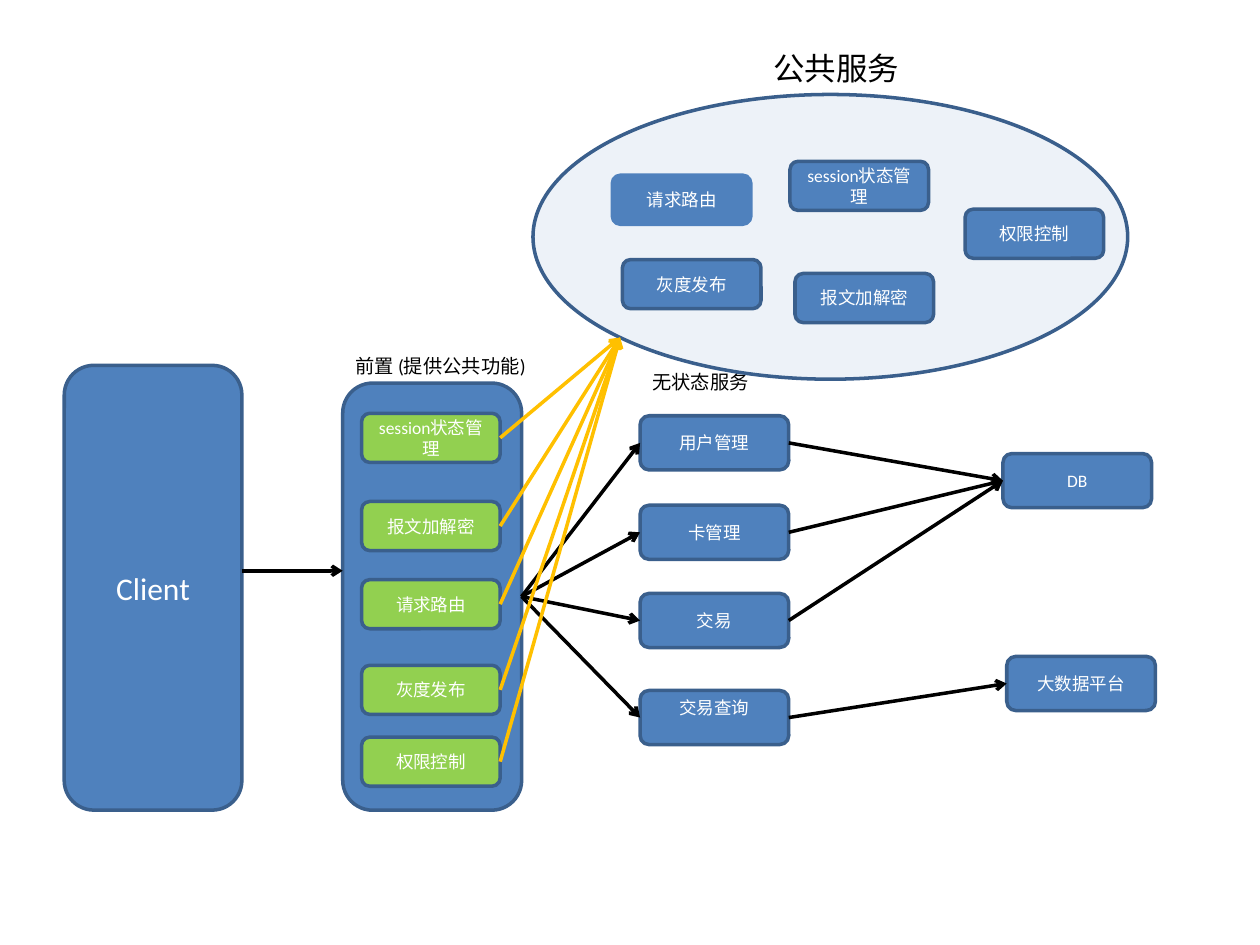
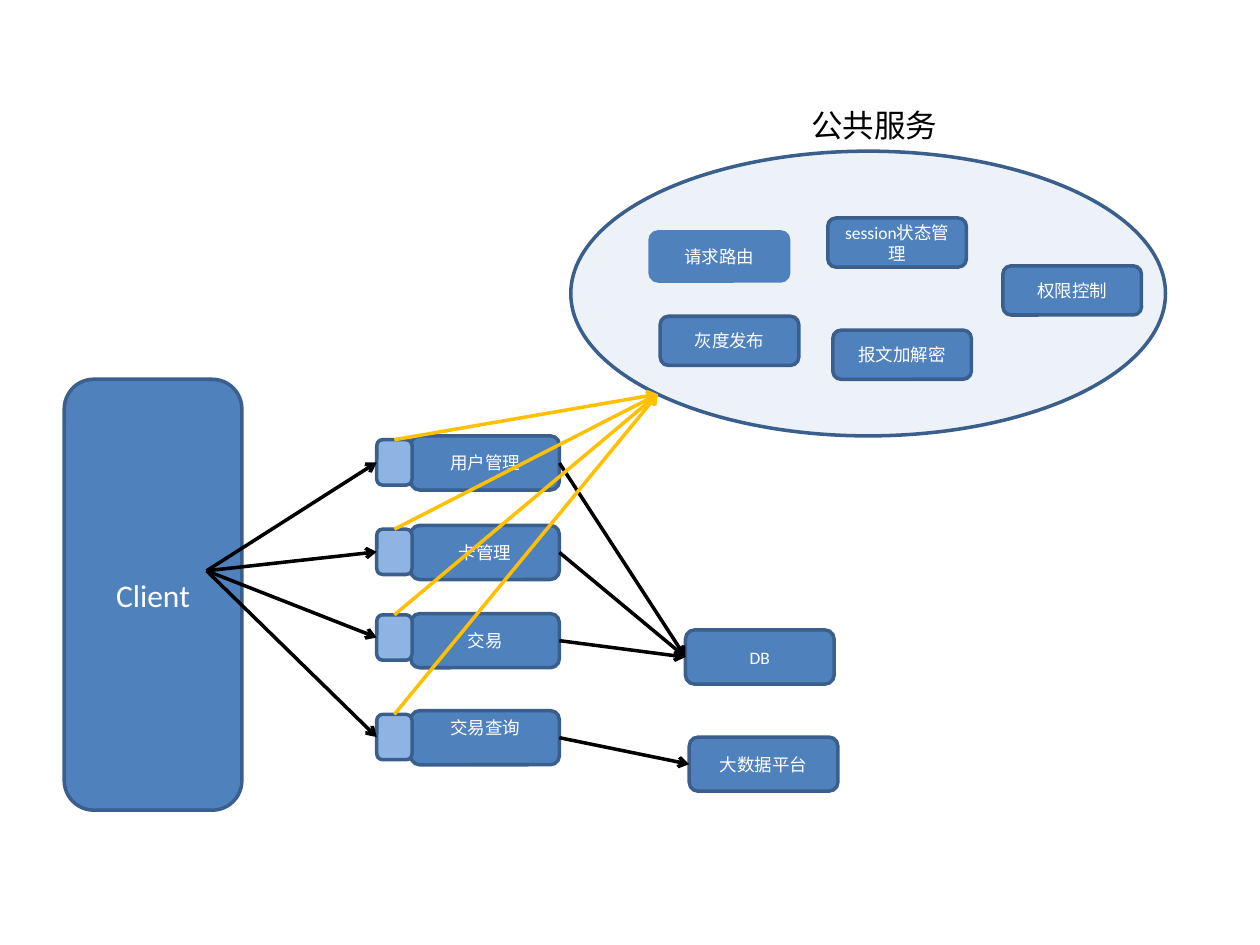
"""Builds two service architecture slides: a shared front layer, then direct calls."""
import math
import pptx
import pptx.util
import pptx.dml.color
import pptx.enum.shapes
import pptx.enum.text
import pptx.oxml
import pptx.oxml.ns

KIND = pptx.enum.shapes.MSO_SHAPE
TOP, LEFT, RIGHT = 0, 1, 3
BLUE, EDGE, GREEN, PALE = "4F81BD", "3A5F8C", "92D050", "8EB4E3"
BLACK, WHITE, GOLD = "000000", "FFFFFF", "FFC000"
FONT = "Calibri"
SMALL = (1.1, 0.39)
LARGE = (1.18, 0.43)
OVAL = (4.72, 2.26)
SESSION, CRYPT, ROUTE, GRAY, RIGHTS = (
    "session状态管理", "报文加解密", "请求路由", "灰度发布", "权限控制")
SHARED = [(SESSION, 2.04, 0.53, EDGE), (CRYPT, 2.08, 1.42, EDGE),
          (ROUTE, 0.63, 0.64, BLUE), (GRAY, 0.71, 1.31, EDGE),
          (RIGHTS, 3.43, 0.91, EDGE)]
FRONT = [(SESSION, 3.28), (CRYPT, 3.98), (ROUTE, 4.6), (GRAY, 5.28), (RIGHTS, 5.85)]
SERVICES = [("用户管理", 0), ("卡管理", 0.71), ("交易", 1.41), ("交易查询", 2.18)]
STUBS = [3.49, 4.2, 4.88, 5.67]
STORES = ["DB", "大数据平台"]


def color(code):
    return pptx.dml.color.RGBColor.from_string(code)


def inch(*sizes):
    return [pptx.util.Inches(size) for size in sizes]


def write(shape, text, size, code, align=None):
    shape.text_frame.text = text
    para = shape.text_frame.paragraphs[0]
    para.alignment = align
    para.font.name, para.font.size = FONT, pptx.util.Pt(size)
    para.font.color.rgb = color(code)


def box(slide, x, y, size, text="", fill=BLUE, line=EDGE, points=10,
        kind=KIND.ROUNDED_RECTANGLE):
    shape = slide.shapes.add_shape(kind, *inch(x, y, *size))
    shape.shadow.inherit = False
    shape.fill.solid()
    shape.fill.fore_color.rgb = color(fill)
    shape.line.color.rgb = color(line)
    shape.line.width = pptx.util.Pt(2)
    if text:
        shape.text_frame.vertical_anchor = pptx.enum.text.MSO_ANCHOR.MIDDLE
        write(shape, text, points, WHITE, pptx.enum.text.PP_ALIGN.CENTER)
    return shape


def label(slide, x, y, size, text, points):
    shape = slide.shapes.add_textbox(*inch(x, y, *size))
    shape.text_frame.word_wrap = True
    write(shape, text, points, BLACK)


def arrow(slide, start, end, code=BLACK):
    """Draw an arrow whose ends are points or (shape, site) pairs."""
    ends = [(0, 0) if hasattr(tip[0], "shape_id") else tip for tip in (start, end)]
    line = slide.shapes.add_connector(
        pptx.enum.shapes.MSO_CONNECTOR.STRAIGHT, *inch(*ends[0], *ends[1]))
    for tip, join in ((start, line.begin_connect), (end, line.end_connect)):
        if hasattr(tip[0], "shape_id"):
            join(*tip)
    line.line.color.rgb = color(code)
    line.line.width = pptx.util.Pt(2)
    props = line._element.spPr
    props.find(pptx.oxml.ns.qn("a:ln")).append(pptx.oxml.parse_xml(
        '<a:tailEnd %s type="arrow"/>' % pptx.oxml.ns.nsdecls("a")))
    props.append(pptx.oxml.parse_xml(
        "<a:effectLst %s/>" % pptx.oxml.ns.nsdecls("a")))


def cloud(slide, x, y):
    """Draw the shared services and return the lower left point of the oval."""
    oval = box(slide, x, y, OVAL, kind=KIND.OVAL)
    tint = oval._element.spPr.find(".//" + pptx.oxml.ns.qn("a:srgbClr"))
    tint.append(pptx.oxml.parse_xml(
        '<a:alpha %s val="10000"/>' % pptx.oxml.ns.nsdecls("a")))
    for text, dx, dy, line in SHARED:
        box(slide, x + dx, y + dy, SMALL, text, line=line)
    label(slide, x + 1.81, y - 0.41, (1.5, 0.4), "公共服务", 18)
    slant = math.sqrt(0.5)
    return x + OVAL[0] / 2 * (1 - slant), y + OVAL[1] / 2 * (1 + slant)


def backend(slide, x, y, spots):
    """Draw services and stores with their arrows and return the services."""
    rows = [box(slide, x, y + dy, LARGE, text) for text, dy in SERVICES]
    rows[-1].text_frame.margin_bottom = pptx.util.Inches(0.21)
    base, data = [box(slide, *spot, LARGE, text) for spot, text in zip(spots, STORES)]
    for row, goal in zip(rows, (base, base, base, data)):
        arrow(slide, (row, RIGHT), (goal, LEFT))
    return rows


def client(slide, y):
    box(slide, 0.51, y, (1.41, 6.43 - y), "Client", points=18)


def layered(slide):
    client(slide, 2.9)
    front = box(slide, 2.72, 3.04, (1.42, 3.39))
    parts = [box(slide, 2.87, y, SMALL, text, GREEN) for text, y in FRONT]
    rows = backend(slide, 5.08, 3.3, [(7.96, 3.6), (7.99, 5.21)])
    arrow(slide, (1.92, 4.53), (2.72, 4.53))
    for row in rows:
        arrow(slide, (front, RIGHT), (row, LEFT))
    label(slide, 2.72, 2.76, (1.57, 0.29), "前置 (提供公共功能)", 11)
    label(slide, 5.08, 2.89, (1, 0.29), "无状态服务", 11)
    goal = cloud(slide, 4.23, 0.75)
    for part in parts:
        arrow(slide, (part, RIGHT), goal, GOLD)


def direct(slide):
    goal = cloud(slide, 4.53, 1.2)
    client(slide, 3.01)
    backend(slide, 3.26, 3.46, [(5.44, 5), (5.47, 5.85)])
    stubs = [box(slide, 2.99, y, (0.28, 0.36), fill=PALE) for y in STUBS]
    for stub in stubs:
        arrow(slide, (stub, TOP), goal, GOLD)
        arrow(slide, (1.64, 4.53), (stub, LEFT))


deck = pptx.Presentation()
deck.slide_width, deck.slide_height = inch(10, 7.5)
for draw in (layered, direct):
    draw(deck.slides.add_slide(deck.slide_layouts[6]))
deck.save("out.pptx")
